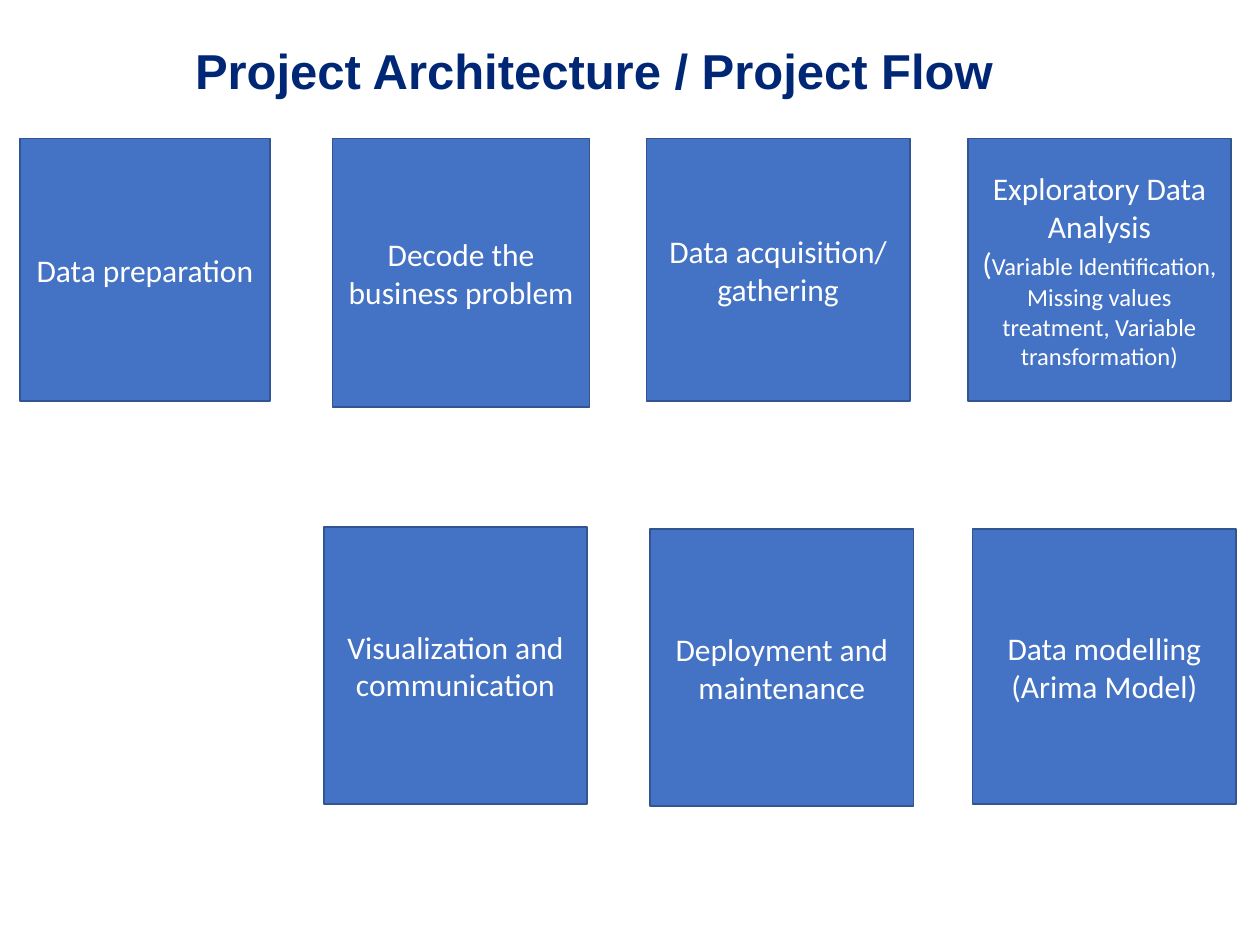
import pptx
import pptx.util
import pptx.dml.color
import pptx.enum.shapes
import pptx.enum.text

Pt = pptx.util.Pt
COLORS = {"title": "002776", "fill": "4472C4", "line": "325491", "text": "FFFFFF"}
TITLE_FORMAT = {"name": "Arial", "size": Pt(28), "bold": True}


def color(name):
    return pptx.dml.color.RGBColor.from_string(COLORS[name])


def add_span(para, text, formats, color_name):
    span = para.add_run()
    span.text = text
    for attribute, value in formats.items():
        setattr(span.font, attribute, value)
    span.font.color.rgb = color(color_name)


deck = pptx.Presentation()
deck.slide_width = Pt(720)
deck.slide_height = Pt(540)
page = deck.slides.add_slide(deck.slide_layouts[6])

title = page.shapes.add_textbox(Pt(104.4), Pt(19.4), Pt(477.4), Pt(41))
title.text_frame.word_wrap = True
add_span(title.text_frame.paragraphs[0], "Project Architecture / Project Flow", TITLE_FORMAT, "title")

steps = [
    (11.5, 79.2, 142.6, 149.8, [[("Data preparation", 18)]]),
    (190.1, 79.2, 146.9, 153.4, [[("Decode the business problem", 18)]]),
    (369.4, 79.2, 150.5, 149.8, [[("Data acquisition/", 18)], [("gathering", 18)]]),
    (553, 79.2, 150.5, 149.8, [
        [("Exploratory Data Analysis", 18)],
        [("(", 18), ("Variable Identification,", 14)],
        [("Missing values treatment, Variable transformation)", 14)],
    ]),
    (555.8, 302.4, 150.5, 157, [[("Data modelling", 18)], [("(Arima Model)", 18)]]),
    (371.5, 302.4, 150.5, 158.4, [[("Deployment and maintenance", 18)]]),
    (185, 301, 150.5, 158.4, [[("Visualization and communication", 18)]]),
]

for left, top, width, height, lines in steps:
    box = page.shapes.add_shape(
        pptx.enum.shapes.MSO_SHAPE.RECTANGLE, Pt(left), Pt(top), Pt(width), Pt(height)
    )
    box.shadow.inherit = False
    box.fill.solid()
    box.fill.fore_color.rgb = color("fill")
    box.line.color.rgb = color("line")
    box.line.width = Pt(1)
    frame = box.text_frame
    frame.word_wrap = True
    frame.vertical_anchor = pptx.enum.text.MSO_ANCHOR.MIDDLE
    for index, spans in enumerate(lines):
        para = frame.add_paragraph() if index else frame.paragraphs[0]
        para.alignment = pptx.enum.text.PP_ALIGN.CENTER
        for text, size in spans:
            add_span(para, text, {"name": "Calibri", "size": Pt(size)}, "text")

deck.save("out.pptx")
